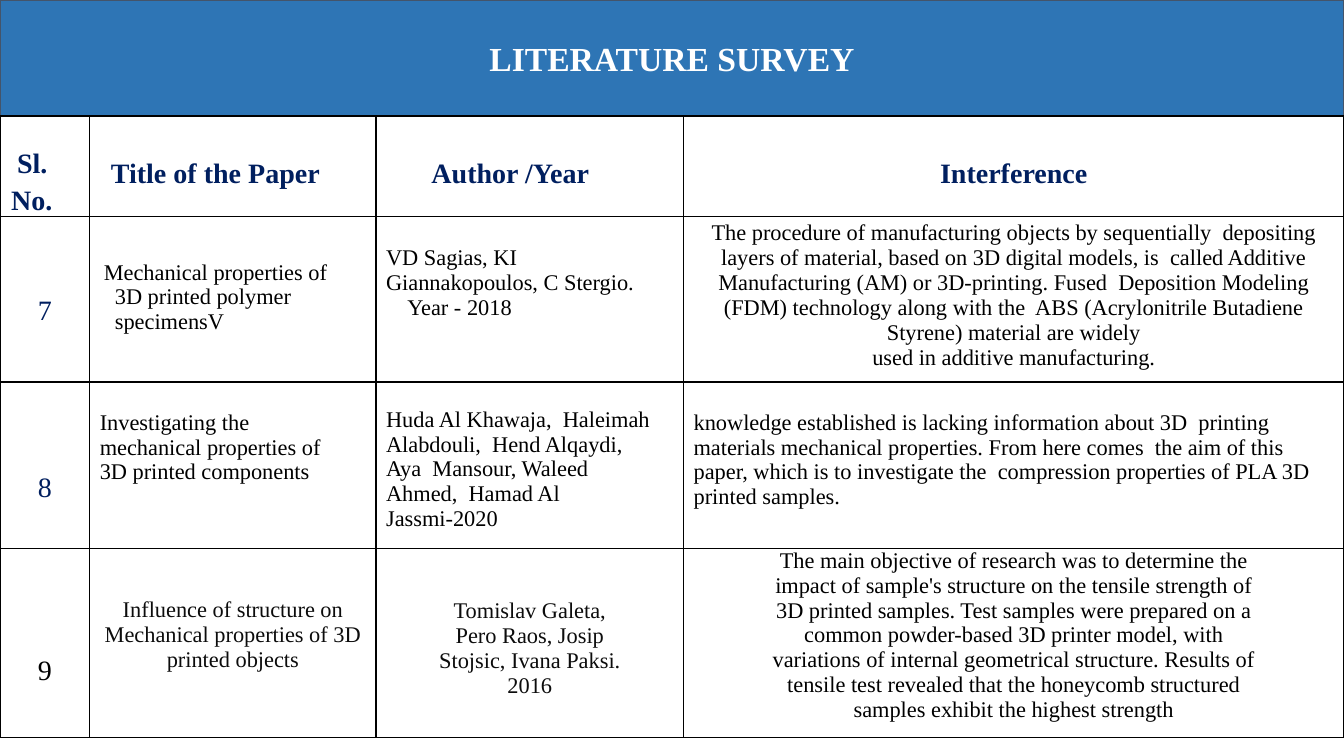
from lxml import etree
from pptx import Presentation, util as u
from pptx.dml.color import RGBColor as Rgb
from pptx.enum import shapes, text
from pptx.oxml.ns import qn

inch = u.Inches
theme = dict(font="Times New Roman", band="2E75B5", edge="44546A", rule="000000",
             paper="FFFFFF", navy="001F5F", ink="000000", soft="0C0C0C",
             title=24, head=20, body=16)
L, C = text.PP_ALIGN.LEFT, text.PP_ALIGN.CENTER
wide, high, top = 13.33, 7.5, 1.15
cols = [0.89, 2.84, 3.05, 6.55]
rows = [1.0, 1.64, 1.65, 1.88]


def style(par, size, ink, bold, align):
    par.alignment = align
    font = par.font
    font.name, font.size, font.bold = theme["font"], u.Pt(theme[size]), bold
    font.color.rgb = Rgb.from_string(theme[ink])


def border(cell):
    props = cell._tc.get_or_add_tcPr()
    for side in ("lnL", "lnR", "lnT", "lnB"):
        line = etree.SubElement(props, qn("a:" + side), w=str(u.Pt(1)))
        fill = etree.SubElement(line, qn("a:solidFill"))
        etree.SubElement(fill, qn("a:srgbClr"), val=theme["rule"])


deck = Presentation()
deck.slide_width, deck.slide_height = inch(wide), inch(high)
slide = deck.slides.add_slide(deck.slide_layouts[6])

# Title band
band = slide.shapes.add_shape(shapes.MSO_SHAPE.RECTANGLE, 0, 0, inch(wide), inch(top))
band.shadow.inherit = False
band.fill.solid()
band.fill.fore_color.rgb = Rgb.from_string(theme["band"])
band.line.color.rgb = Rgb.from_string(theme["edge"])
band.line.width = u.Pt(1)
band.text_frame.vertical_anchor = text.MSO_ANCHOR.MIDDLE
name = band.text_frame.paragraphs[0]
name.text = "LITERATURE SURVEY"
style(name, "title", "paper", True, C)

# Cells: text, align, top, left and right margin, then size and colour
head, num, body = ("head", "navy"), ("head", "navy"), ("body", "ink")
cells = [
    [("Sl.\nNo.", L, 0.26, 0.11, 0, *head),
     ("Title of the Paper", L, 0.42, 0.21, 0, *head),
     ("Author /Year", L, 0.42, 0.55, 0, *head),
     ("Interference", C, 0.42, 0, 0, *head)],
    [("7", C, 0.78, 0, 0, *num),
     ("Mechanical properties of 3D printed polymer specimensV", L, 0.43, 0.14, 0.4, *body),
     ("VD Sagias, KI Giannakopoulos, C Stergio.\nYear - 2018", L, 0.29, 0.1, 0.4, *body),
     ("The procedure of manufacturing objects by sequentially  depositing layers of "
      "material, based on 3D digital models, is  called Additive Manufacturing (AM) or "
      "3D-printing. Fused  Deposition Modeling (FDM) technology along with the  ABS "
      "(Acrylonitrile Butadiene Styrene) material are widely\n"
      "used in additive manufacturing.", C, 0.04, 0.13, 0.13, *body)],
    [("8", C, 0.9, 0, 0, *num),
     ("Investigating the mechanical properties of 3D printed components",
      L, 0.28, 0.1, 0.4, *body),
     ("Huda Al Khawaja,  Haleimah Alabdouli,  Hend Alqaydi, Aya  Mansour, Waleed "
      "Ahmed,  Hamad Al Jassmi-2020", L, 0.25, 0.1, 0.3, *body),
     ("knowledge established is lacking information about 3D  printing materials "
      "mechanical properties. From here comes  the aim of this paper, which is to "
      "investigate the  compression properties of PLA 3D printed samples.",
      L, 0.28, 0.1, 0.2, *body)],
    [("9", C, 1.06, 0, 0, "head", "ink"),
     ("Influence of structure on\nMechanical properties of 3D\nprinted objects",
      C, 0.49, 0, 0, "body", "soft"),
     ("Tomislav Galeta,\nPero Raos, Josip\nStojsic, Ivana Paksi.\n2016",
      C, 0.5, 0, 0, "body", "soft"),
     ("The main objective of research was to determine the\n"
      "impact of sample's structure on the tensile strength of\n"
      "3D printed samples. Test samples were prepared on a\n"
      "common powder-based 3D printer model, with\n"
      "variations of internal geometrical structure. Results of\n"
      "tensile test revealed that the honeycomb structured\n"
      "samples exhibit the highest strength", C, 0, 0, 0, *body)],
]

# Survey table
grid = slide.shapes.add_table(len(rows), len(cols), 0, inch(top),
                              inch(wide), inch(sum(rows))).table
for col, size in zip(grid.columns, cols):
    col.width = inch(size)
for row, size in zip(grid.rows, rows):
    row.height = inch(size)
for r, line in enumerate(cells):
    for c, (words, align, above, left, right, size, ink) in enumerate(line):
        cell = grid.cell(r, c)
        border(cell)
        cell.fill.solid()
        cell.fill.fore_color.rgb = Rgb.from_string(theme["paper"])
        cell.margin_top, cell.margin_bottom = inch(above), 0
        cell.margin_left, cell.margin_right = inch(left), inch(right)
        cell.text_frame.text = words
        for par in cell.text_frame.paragraphs:
            style(par, size, ink, r == 0, align)

# Indents of single paragraphs: row, column, paragraph, left, first line
for r, c, n, left, first in [(0, 0, 0, 0.06, 0), (1, 1, 0, 0.11, -0.11), (1, 2, 1, 0.21, 0)]:
    props = grid.cell(r, c).text_frame.paragraphs[n]._p.get_or_add_pPr()
    props.set("marL", str(inch(left)))
    props.set("indent", str(inch(first)))
for par in grid.cell(0, 0).text_frame.paragraphs:
    par.line_spacing = 1.2

deck.save("out.pptx")
